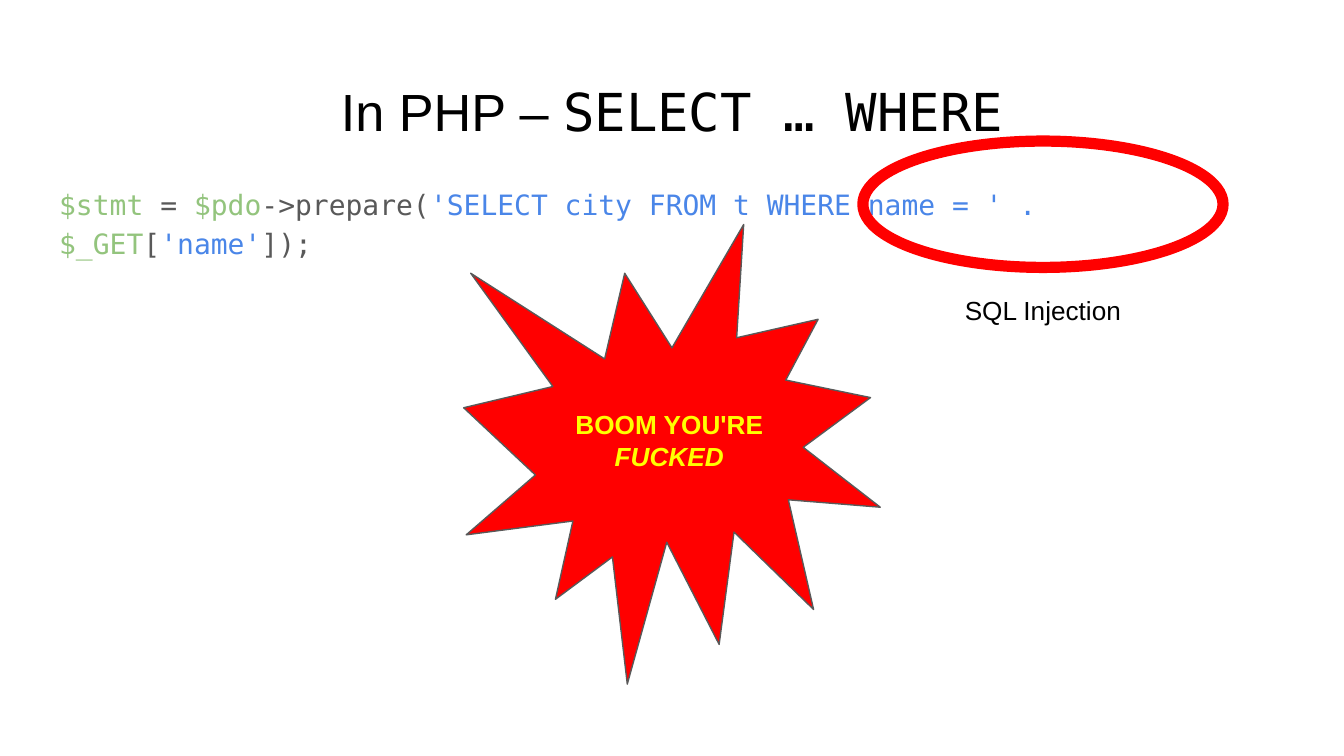
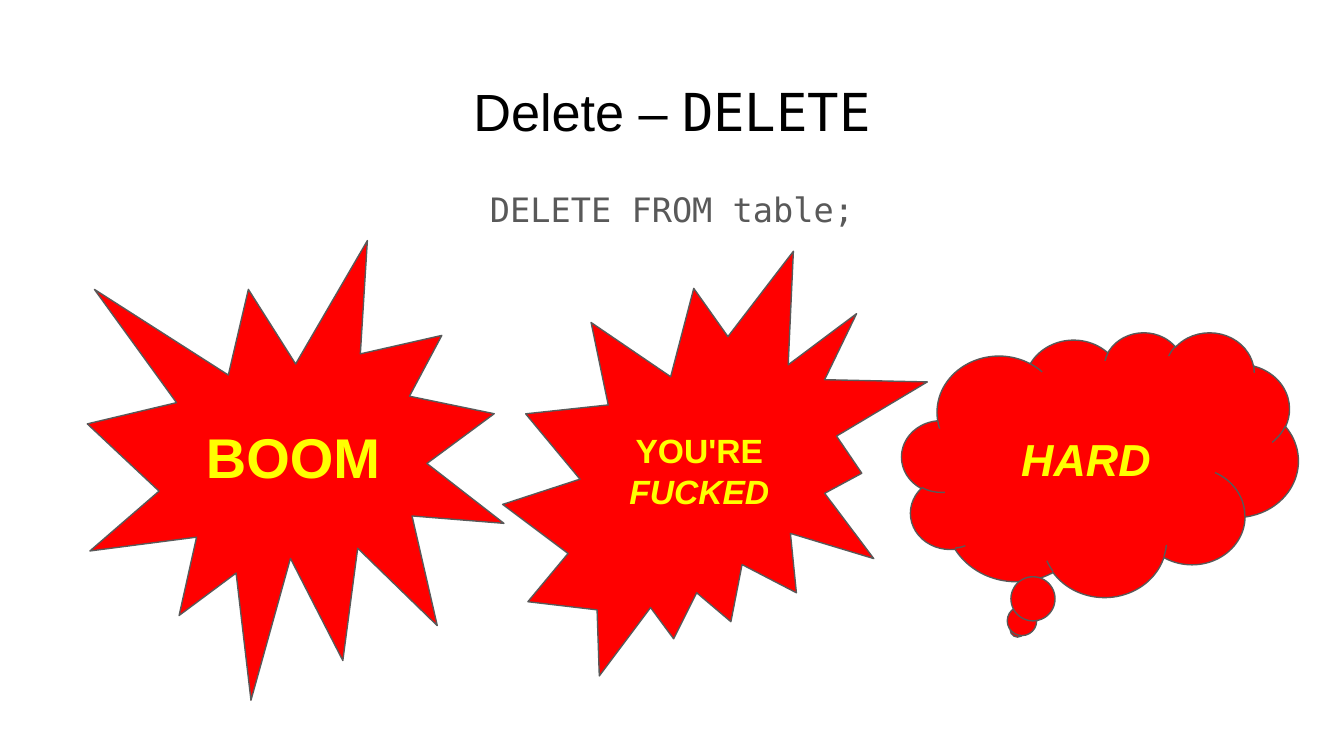
from dataclasses import dataclass

from lxml import etree
from pptx import Presentation
from pptx.dml.color import RGBColor
from pptx.enum.shapes import MSO_SHAPE
from pptx.enum.text import MSO_ANCHOR, MSO_AUTO_SIZE, PP_ALIGN
from pptx.oxml.ns import qn
from pptx.util import Inches, Pt

LEFT, CENTER = PP_ALIGN.LEFT, PP_ALIGN.CENTER
TOP, MIDDLE = MSO_ANCHOR.TOP, MSO_ANCHOR.MIDDLE
NO_AUTOFIT = MSO_AUTO_SIZE.NONE
BURST, WIDE_BURST = MSO_SHAPE.EXPLOSION1, MSO_SHAPE.EXPLOSION2
CLOUD, ELLIPSE = MSO_SHAPE.CLOUD_CALLOUT, MSO_SHAPE.OVAL
TITLE_AND_CONTENT = 1
LINE_BREAK = "\n"


@dataclass(frozen=True)
class Theme:
    """Colours, fonts and type sizes of the whole presentation."""
    background: str = "FFFFFF"
    ink: str = "000000"
    code: str = "595959"
    variable: str = "93C47D"
    string: str = "4A86E8"
    alarm: str = "FF0000"
    shout: str = "FFFF00"
    sans: str = "Arial"
    mono: str = "DejaVu Sans Mono"
    title_size: int = 28
    shout_size: int = 30
    cloud_size: int = 24
    statement_size: int = 18
    listing_size: int = 15
    label_size: int = 14
    outline: float = 0.75
    ring: float = 6


THEME = Theme()
SLIDE_WIDTH = 10
SLIDE_HEIGHT = SLIDE_WIDTH * 9 / 16
TITLE_BOX = (0.34, 0.49, 9.32, 0.63)
BODY_BOX = (0.34, 1.26, 9.32, 3.74)


def rgb(colour):
    """Turn a hex string into a colour."""
    return RGBColor.from_string(colour)


def lengths(box):
    """Turn a box in inches into lengths."""
    return [Inches(value) for value in box]


def place(shape, box):
    """Move a placeholder to its box."""
    shape.left, shape.top, shape.width, shape.height = lengths(box)


def prepare_frame(shape, alignment, anchor=TOP):
    """Set the shared text frame properties and return the first paragraph."""
    frame = shape.text_frame
    frame.word_wrap = True
    frame.auto_size = NO_AUTOFIT
    frame.vertical_anchor = anchor
    frame.margin_left = frame.margin_right = Inches(0.1)
    frame.margin_top = frame.margin_bottom = Inches(0.1)
    paragraph = frame.paragraphs[0]
    paragraph.alignment = alignment
    return paragraph


def add_run(paragraph, text, size, colour, font, bold=False, italic=False):
    """Add one formatted run."""
    run = paragraph.add_run()
    run.text = text
    run.font.name = font
    run.font.size = Pt(size)
    run.font.color.rgb = rgb(colour)
    run.font.bold = bold
    run.font.italic = italic


def remove_bullet(paragraph):
    """Take the inherited bullet and indent off a paragraph."""
    properties = paragraph._p.get_or_add_pPr()
    properties.set("marL", "0")
    properties.set("indent", "0")
    etree.SubElement(properties, qn("a:buNone"))


def fill_title(shape, box, words, keyword):
    """Write a title of plain words followed by an SQL keyword."""
    place(shape, box)
    paragraph = prepare_frame(shape, CENTER)
    add_run(paragraph, words, THEME.title_size, THEME.ink, THEME.sans)
    add_run(paragraph, keyword, THEME.title_size, THEME.ink, THEME.mono)


def fill_code(shape, box, tokens, size, alignment):
    """Write a line of code from (text, colour) tokens."""
    place(shape, box)
    paragraph = prepare_frame(shape, alignment)
    paragraph.line_spacing = 1.15
    paragraph.space_before = Pt(0)
    paragraph.space_after = Pt(16)
    remove_bullet(paragraph)
    for text, colour in tokens:
        add_run(paragraph, text, size, colour, THEME.mono)


def add_code_slide(presentation, title, tokens, size, alignment):
    """Add a slide with a title and one code statement."""
    layout = presentation.slide_layouts[TITLE_AND_CONTENT]
    slide = presentation.slides.add_slide(layout)
    fill_title(slide.shapes.title, TITLE_BOX, *title)
    fill_code(slide.placeholders[1], BODY_BOX, tokens, size, alignment)
    return slide


def add_shout(slide, kind, box, words, size):
    """Add a red shape with bold text from (text, italic) pairs."""
    shape = slide.shapes.add_shape(kind, *lengths(box))
    shape.shadow.inherit = False
    shape.fill.solid()
    shape.fill.fore_color.rgb = rgb(THEME.alarm)
    shape.line.color.rgb = rgb(THEME.code)
    shape.line.width = Pt(THEME.outline)
    paragraph = prepare_frame(shape, CENTER, MIDDLE)
    for text, italic in words:
        if text == LINE_BREAK:
            paragraph.add_line_break()
        else:
            add_run(paragraph, text, size, THEME.shout, THEME.sans, True, italic)
    return shape


def add_ringed_label(slide, box, text):
    """Circle the box in red and centre a label below it."""
    left, top, width, height = box
    ring = slide.shapes.add_shape(ELLIPSE, *lengths(box))
    ring.shadow.inherit = False
    ring.fill.background()
    ring.line.color.rgb = rgb(THEME.alarm)
    ring.line.width = Pt(THEME.ring)
    label_width = 1.74
    label_box = (left + (width - label_width) / 2, top + height + 0.1,
                 label_width, 0.35)
    label = slide.shapes.add_textbox(*lengths(label_box))
    paragraph = prepare_frame(label, CENTER)
    add_run(paragraph, text, THEME.label_size, THEME.ink, THEME.sans)


def build_injection_slide(presentation):
    """Show the unsafe SELECT and what it leads to."""
    tokens = [
        ("$stmt", THEME.variable),
        (" = ", THEME.code),
        ("$pdo", THEME.variable),
        ("->prepare(", THEME.code),
        ("'SELECT city FROM t WHERE name = ' . ", THEME.string),
        ("$_GET", THEME.variable),
        ("[", THEME.code),
        ("'name'", THEME.string),
        ("]);", THEME.code),
    ]
    slide = add_code_slide(presentation, ("In PHP – ", "SELECT … WHERE"),
                           tokens, THEME.listing_size, LEFT)
    add_shout(slide, BURST, (3.45, 1.67, 3.1, 3.42),
              [("BOOM YOU'RE ", False), ("FUCKED", True)], THEME.label_size)
    add_ringed_label(slide, (6.42, 1.05, 2.68, 0.94), "SQL Injection")


def build_delete_slide(presentation):
    """Show the unconditional DELETE and three shouts."""
    slide = add_code_slide(presentation, ("Delete – ", "DELETE"),
                           [("DELETE FROM table;", THEME.code)],
                           THEME.statement_size, CENTER)
    add_shout(slide, BURST, (0.65, 1.79, 3.1, 3.42),
              [("BOOM", False)], THEME.shout_size)
    add_shout(slide, WIDE_BURST, (3.74, 1.87, 3.16, 3.16),
              [("YOU'RE", False), (LINE_BREAK, False), ("FUCKED", True)],
              THEME.statement_size)
    cloud = add_shout(slide, CLOUD, (6.71, 2.47, 2.95, 1.97),
                      [("HARD", True)], THEME.cloud_size)
    cloud.adjustments[0] = -0.208
    cloud.adjustments[1] = 0.625


def main():
    """Build and save the presentation."""
    presentation = Presentation()
    presentation.slide_width = Inches(SLIDE_WIDTH)
    presentation.slide_height = Inches(SLIDE_HEIGHT)
    background = presentation.slide_master.background.fill
    background.solid()
    background.fore_color.rgb = rgb(THEME.background)
    build_injection_slide(presentation)
    build_delete_slide(presentation)
    presentation.save("out.pptx")


main()
